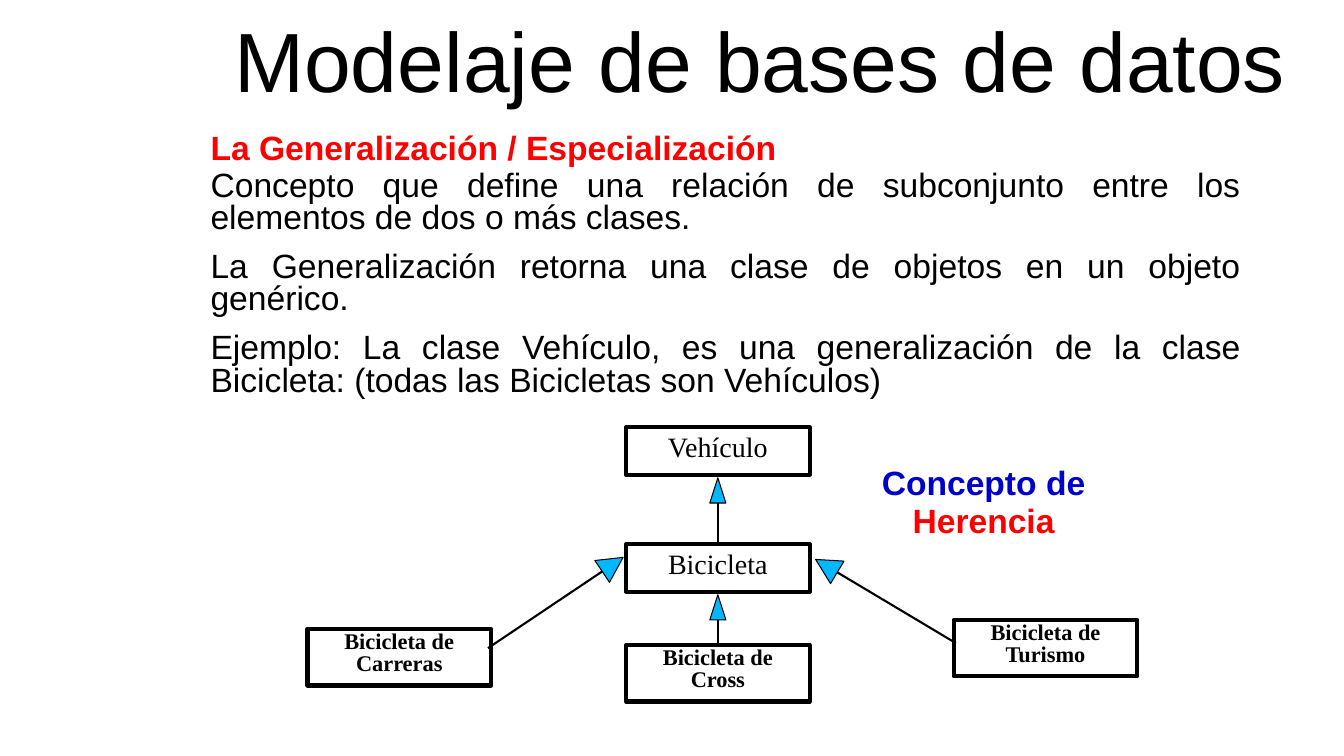
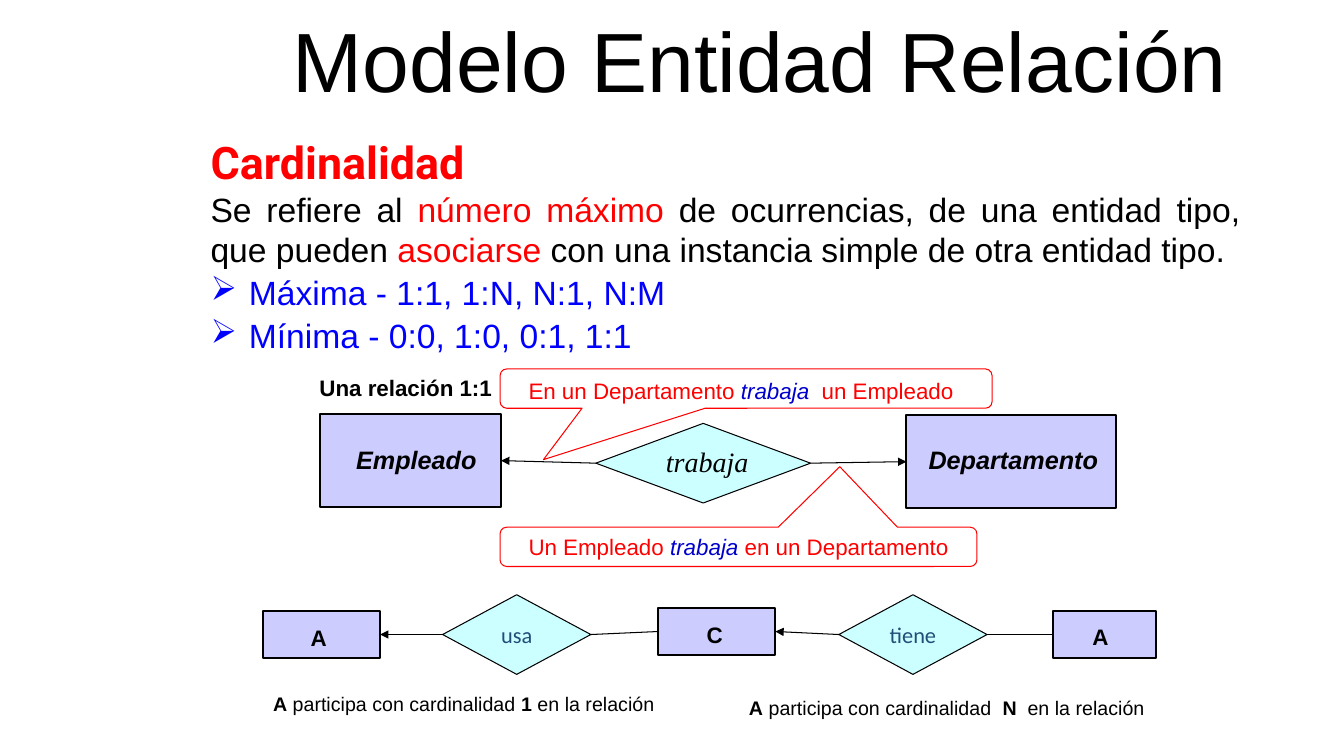
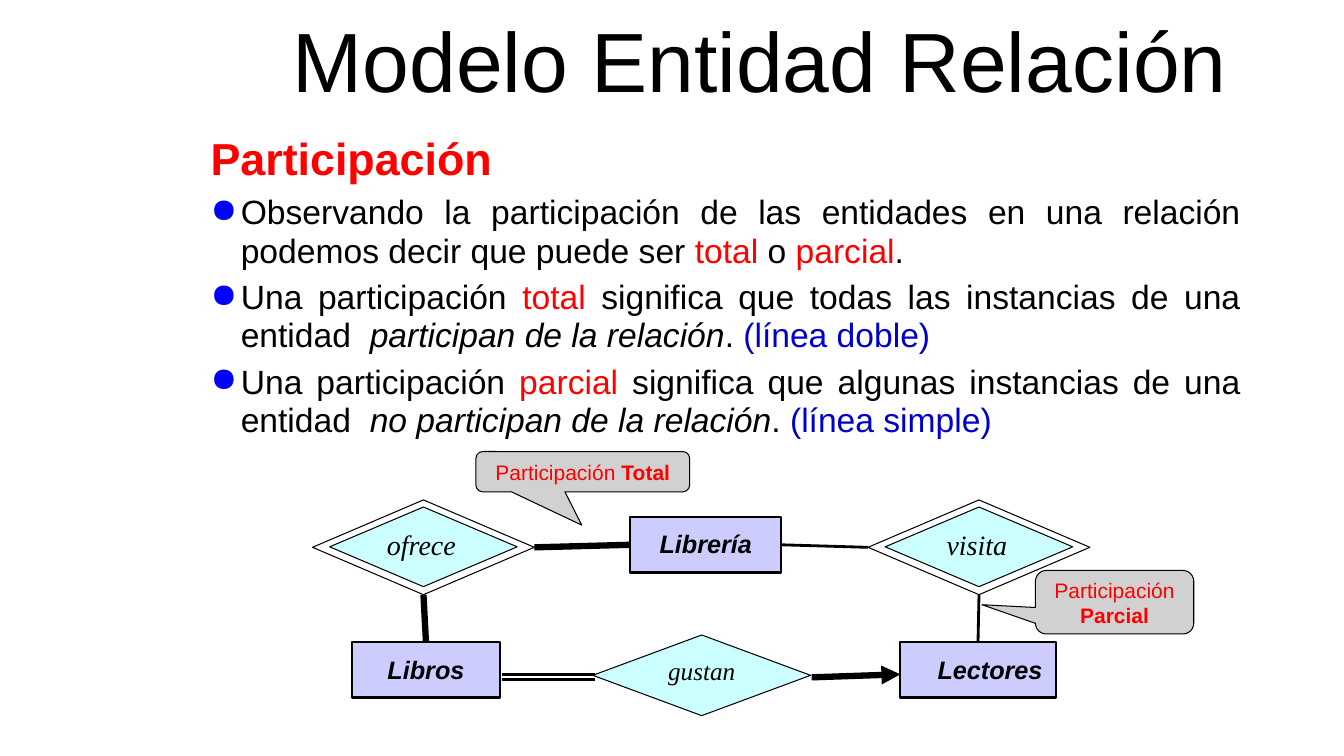
from dataclasses import dataclass
from math import hypot

from lxml.etree import SubElement
from pptx import Presentation
from pptx.dml.color import RGBColor
from pptx.enum.shapes import MSO_CONNECTOR, MSO_SHAPE
from pptx.enum.text import MSO_ANCHOR, PP_ALIGN
from pptx.oxml.ns import qn
from pptx.util import Emu, Pt


@dataclass(frozen=True)
class Theme:
    black: str = "000000"
    red: str = "FF0000"
    blue: str = "0000FF"
    navy: str = "0000CC"
    slate: str = "1F4E79"
    entity: str = "CCCCFF"
    relation: str = "CCFFFF"
    arrow: str = "00B8FF"
    grey: str = "D1D1D1"
    sans: str = "Arial"
    serif: str = "Times New Roman"
    title: int = 60
    heading: int = 32
    body: int = 24
    large: int = 20
    name: int = 18
    label: int = 16
    note: int = 15
    caption: int = 14


T = Theme()
TOP, LEFT, BOTTOM, RIGHT = range(4)
EMU_PER_PX = 9144  # 100 px to the inch


def px(n):
    return Emu(round(n * EMU_PER_PX))


def rgb(color):
    return RGBColor.from_string(color)


# ---- Text ----

def write(p, runs, align=PP_ALIGN.LEFT, spacing=None, before=0, after=0,
          bullet=None, **base):
    """Fill a paragraph; a run is a string or (string, overrides)."""
    if bullet:
        char, color, indent = bullet
        pPr = p._p.get_or_add_pPr()
        pPr.set("marL", str(px(indent)))
        pPr.set("indent", str(-px(indent)))
        SubElement(SubElement(pPr, qn("a:buClr")), qn("a:srgbClr")).set("val", color)
        SubElement(pPr, qn("a:buChar")).set("char", char)
    p.alignment = align
    p.line_spacing = spacing
    p.space_before, p.space_after = Pt(before), Pt(after)
    for run in [runs] if isinstance(runs, str) else runs:
        text, own = (run, {}) if isinstance(run, str) else run
        look = {"font": T.sans, "size": T.body, "color": T.black,
                "bold": False, "italic": False} | base | own
        r = p.add_run()
        r.text = text
        r.font.name, r.font.size = look["font"], Pt(look["size"])
        r.font.bold, r.font.italic = look["bold"], look["italic"]
        r.font.color.rgb = rgb(look["color"])


def text_box(s, box, paragraphs, anchor=MSO_ANCHOR.TOP):
    """Place (runs, format) paragraphs in a text box."""
    tf = s.shapes.add_textbox(*map(px, box)).text_frame
    tf.word_wrap = True
    tf.vertical_anchor = anchor
    for i, (runs, look) in enumerate(paragraphs):
        write(tf.add_paragraph() if i else tf.paragraphs[0], runs, **look)


# ---- Shapes ----

def paint(sp, fill, line, width):
    sp.shadow.inherit = False
    if fill:
        sp.fill.solid()
        sp.fill.fore_color.rgb = rgb(fill)
    else:
        sp.fill.background()
    sp.line.color.rgb = rgb(line)
    sp.line.width = Pt(width)


def node(s, kind, box, runs="", fill=None, line=T.black, width=0.75,
         inset=0, shift=(0, 0), **look):
    """Shape with centred text, moved from the centre by shift."""
    sp = s.shapes.add_shape(kind, *map(px, box))
    paint(sp, fill, line, width)
    if runs:
        dx, dy = shift
        tf = sp.text_frame
        tf.word_wrap = True
        tf.vertical_anchor = MSO_ANCHOR.MIDDLE
        tf.margin_left, tf.margin_right = px(inset + max(2 * dx, 0)), px(inset + max(-2 * dx, 0))
        tf.margin_top, tf.margin_bottom = px(max(2 * dy, 0)), px(max(-2 * dy, 0))
        write(tf.paragraphs[0], runs, PP_ALIGN.CENTER, **look)
    return sp


def entity(s, box, name, shift=(0, 0), size=T.name, italic=True):
    return node(s, MSO_SHAPE.RECTANGLE, box, name, T.entity, width=1.5, inset=4,
                shift=shift, size=size, bold=True, italic=italic)


def relation(s, box, name, shift=(0, 0), size=T.large):
    return node(s, MSO_SHAPE.DIAMOND, box, name, T.relation, shift=shift,
                font=T.serif, size=size, italic=True)


def callout(s, box, tip, runs, fill=None, line=T.black, size=T.note, shift=(0, 0)):
    x, y, w, h = box
    sp = node(s, MSO_SHAPE.ROUNDED_RECTANGULAR_CALLOUT, box, runs, fill, line,
              inset=10, shift=shift, size=size, color=T.red)
    sp.adjustments[0] = (tip[0] - x - w / 2) / w
    sp.adjustments[1] = (tip[1] - y - h / 2) / h
    sp.adjustments[2] = 0.17


def connect(s, start, end, width=0.75, arrow=False):
    """Line between two ends, each a point or a (shape, side) pair."""
    points = [e if isinstance(e[0], (int, float)) else (0, 0) for e in (start, end)]
    c = s.shapes.add_connector(MSO_CONNECTOR.STRAIGHT,
                               *(px(v) for point in points for v in point))
    if start is not points[0]:
        c.begin_connect(*start)
    if end is not points[1]:
        c.end_connect(*end)
    c.line.color.rgb = rgb(T.black)
    c.line.width = Pt(width)
    if arrow:
        SubElement(c.line._get_or_add_ln(), qn("a:tailEnd")).set("type", "triangle")
    SubElement(c._element.spPr, qn("a:effectLst"))


def inherit_arrow(s, start, tip, half, source=None):
    """Line with a filled triangular head; source joins the line to a shape."""
    length = 25
    dx, dy = tip[0] - start[0], tip[1] - start[1]
    dist = hypot(dx, dy)
    ux, uy = dx / dist, dy / dist
    bx, by = tip[0] - length * ux, tip[1] - length * uy
    corners = [(bx - half * uy, by + half * ux), (bx + half * uy, by - half * ux)]
    fb = s.shapes.build_freeform(px(tip[0]), px(tip[1]))
    fb.add_line_segments([(px(x), px(y)) for x, y in corners], close=True)
    paint(fb.convert_to_shape(), T.arrow, T.black, 0.75)
    connect(s, source or start, (bx, by), 1.5)


# ---- Slides ----

def base_slide(prs, title, body, height):
    s = prs.slides.add_slide(prs.slide_layouts[6])
    text_box(s, (199, 129, 1041, height), body)
    text_box(s, (199, 0, 1109, 129),
             [(title, {"align": PP_ALIGN.CENTER, "spacing": 0.9, "size": T.title})],
             MSO_ANCHOR.MIDDLE)
    return s


def class_box(s, x, y, h, name, **look):
    sp = node(s, MSO_SHAPE.ROUNDED_RECTANGLE, (x, y, 182, h), name, width=3,
              inset=10, shift=(0, -3), font=T.serif, **look)
    sp.adjustments[0] = 0
    return sp


def generalization_slide(prs):
    item = {"align": PP_ALIGN.JUSTIFY, "spacing": 0.8, "before": 3, "after": 9}
    s = base_slide(prs, "Modelaje de bases de datos", [
        ("La Generalización / Especialización",
         {"spacing": 0.8, "color": T.red, "bold": True}),
        ("Concepto que define una relación de subconjunto entre los elementos "
         "de dos o más clases.", item),
        ("La Generalización retorna una clase de objetos en un objeto genérico.", item),
        ("Ejemplo: La clase Vehículo, es una generalización de la clase Bicicleta: "
         "(todas las Bicicletas son Vehículos)", item),
    ], 274)

    # Class hierarchy
    parent = {"h": 47, "size": T.large, "spacing": 0.95}
    child = {"h": 56, "size": T.label, "spacing": 0.8, "bold": True}
    class_box(s, 621, 424, name="Vehículo", **parent)
    bike = class_box(s, 621, 540, name="Bicicleta", **parent)
    class_box(s, 305, 624, name="Bicicleta de Carreras", **child)
    class_box(s, 946, 615, name="Bicicleta de Turismo", **child)
    cross = class_box(s, 621, 640, name="Bicicleta de Cross", **child)
    inherit_arrow(s, (712, 540), (712, 474), 8, (bike, TOP))
    inherit_arrow(s, (712, 640), (712, 590), 8, (cross, TOP))
    inherit_arrow(s, (484, 643), (618, 553), 13)
    inherit_arrow(s, (948, 638), (809, 555), 13)

    text_box(s, (863, 457, 225, 88), [
        (["Concepto de ", ("Herencia", {"color": T.red})],
         {"align": PP_ALIGN.CENTER, "spacing": 0.93, "color": T.navy, "bold": True})])


def cardinality_slide(prs):
    red, bold = {"color": T.red}, {"bold": True}
    verb = ("trabaja", {"color": T.navy, "italic": True})
    item = {"after": 2, "bullet": ("➢", T.blue, 38), "color": T.blue}
    s = base_slide(prs, "Modelo Entidad Relación", [
        ("Cardinalidad", {"font": "Roboto", "size": T.heading, "color": T.red, "bold": True}),
        (["Se refiere al ", ("número máximo", red),
          " de ocurrencias, de una entidad tipo, que pueden ", ("asociarse", red),
          " con una instancia simple de otra entidad tipo."],
         {"align": PP_ALIGN.JUSTIFY, "after": 2}),
        ("Máxima - 1:1, 1:N, N:1, N:M", item),
        ("Mínima - 0:0, 1:0, 0:1, 1:1", item),
    ], 231)

    # One-to-one relation
    text_box(s, (307, 366, 243, 37), [("Una relación 1:1", {"size": T.label, "bold": True})])
    employee = entity(s, (317, 411, 180, 92), "Empleado", (6, -1))
    department = entity(s, (899, 412, 208, 92), "Departamento", (2, -2))
    works = relation(s, (591, 420, 213, 79), "trabaja", (4, -2))
    connect(s, (works, LEFT), (employee, RIGHT), arrow=True)
    connect(s, (works, RIGHT), (department, LEFT), arrow=True)
    callout(s, (496, 366, 488, 39), (539, 456),
            ["En un Departamento ", verb, "  un Empleado"],
            line=T.red, size=T.label, shift=(-5, 2))
    callout(s, (496, 523, 473, 39), (833, 463),
            ["Un Empleado ", verb, " en un Departamento"], line=T.red, size=T.label)

    # Chain of entities and relations
    a1, c, a2 = (entity(s, box, name, shift, T.label, False) for box, name, shift in [
        ((261, 606, 116, 47), "A", (-3, 3)),
        ((653, 603, 116, 47), "C", (-2, 3)),
        ((1044, 606, 103, 47), "A", (-4, 2))])
    uses, has = (node(s, MSO_SHAPE.DIAMOND, (x, 590, 147, 79), name, T.relation,
                      font="Calibri", size=T.label, color=T.slate)
                 for x, name in [(439, "usa"), (832, "tiene")])
    connect(s, (uses, LEFT), (a1, RIGHT), arrow=True)
    connect(s, (uses, RIGHT), (c, LEFT))
    connect(s, (has, LEFT), (c, RIGHT), arrow=True)
    connect(s, (has, RIGHT), (a2, LEFT))
    for box, runs in [
        ((261, 682, 407, 34), [("A", bold), " participa con cardinalidad ",
                               ("1", bold), " en la relación"]),
        ((733, 685, 414, 34), [("A", bold), " participa con cardinalidad  ",
                               ("N", bold), "  en la relación"]),
    ]:
        text_box(s, box, [(runs, {"size": T.caption})])


def participation_slide(prs):
    red, navy, italic, bold = ({"color": T.red}, {"color": T.navy},
                               {"italic": True}, {"bold": True})
    item = {"align": PP_ALIGN.JUSTIFY, "spacing": 0.95, "before": 5.8,
            "bullet": ("●", T.blue, 30)}
    s = base_slide(prs, "Modelo Entidad Relación", [
        ("Participación",
         {"spacing": 0.95, "size": T.heading, "color": T.red, "bold": True}),
        (["Observando la participación de las entidades en una relación podemos "
          "decir que puede ser ", ("total", red), " o ", ("parcial", red), "."], item),
        (["Una participación ", ("total", red),
          " significa que todas las instancias de una entidad  ",
          ("participan de la relación", italic), ". ", ("(línea doble)", navy)], item),
        (["Una participación ", ("parcial", red),
          " significa que algunas instancias de una entidad  ",
          ("no participan de la relación", italic), ". ", ("(línea simple)", navy)], item),
    ], 317)

    # Entities and relations
    books = entity(s, (349, 637, 147, 55), "Libros")
    readers = entity(s, (893, 637, 154, 55), "Lectores", (12, 0))
    shop = entity(s, (625, 513, 150, 55), "Librería", (0, -1))
    relation(s, (588, 630, 216, 80), "gustan", (0, -5), T.name)
    frames = []
    for x, name in [(310, "ofrece"), (861, "visita")]:
        relation(s, (x + 17, 503, 186, 79), name, (-2, -3))
        frames.append(node(s, MSO_SHAPE.DIAMOND, (x, 496, 220, 94)))
    offers, visits = frames

    # Total participation is thick or double, partial is thin
    connect(s, (offers, RIGHT), (shop, LEFT), 4.5)
    connect(s, (books, TOP), (offers, BOTTOM), 4.5)
    connect(s, (shop, RIGHT), (visits, LEFT), 2)
    connect(s, (readers, TOP), (visits, BOTTOM), 2)
    connect(s, (805, 672), (893, 669), 4.5, arrow=True)
    for y in (669, 674):
        connect(s, (498, y), (590, y), 2)

    callout(s, (472, 448, 212, 40), (577, 521),
            ["Participación", (" Total", bold)], T.grey)
    callout(s, (1027, 566, 157, 63), (974, 600),
            ["Participación ", ("Parcial", bold)], T.grey)


def main():
    prs = Presentation()
    prs.slide_width, prs.slide_height = px(1333), px(750)
    generalization_slide(prs)
    cardinality_slide(prs)
    participation_slide(prs)
    prs.save("out.pptx")


if __name__ == "__main__":
    main()
